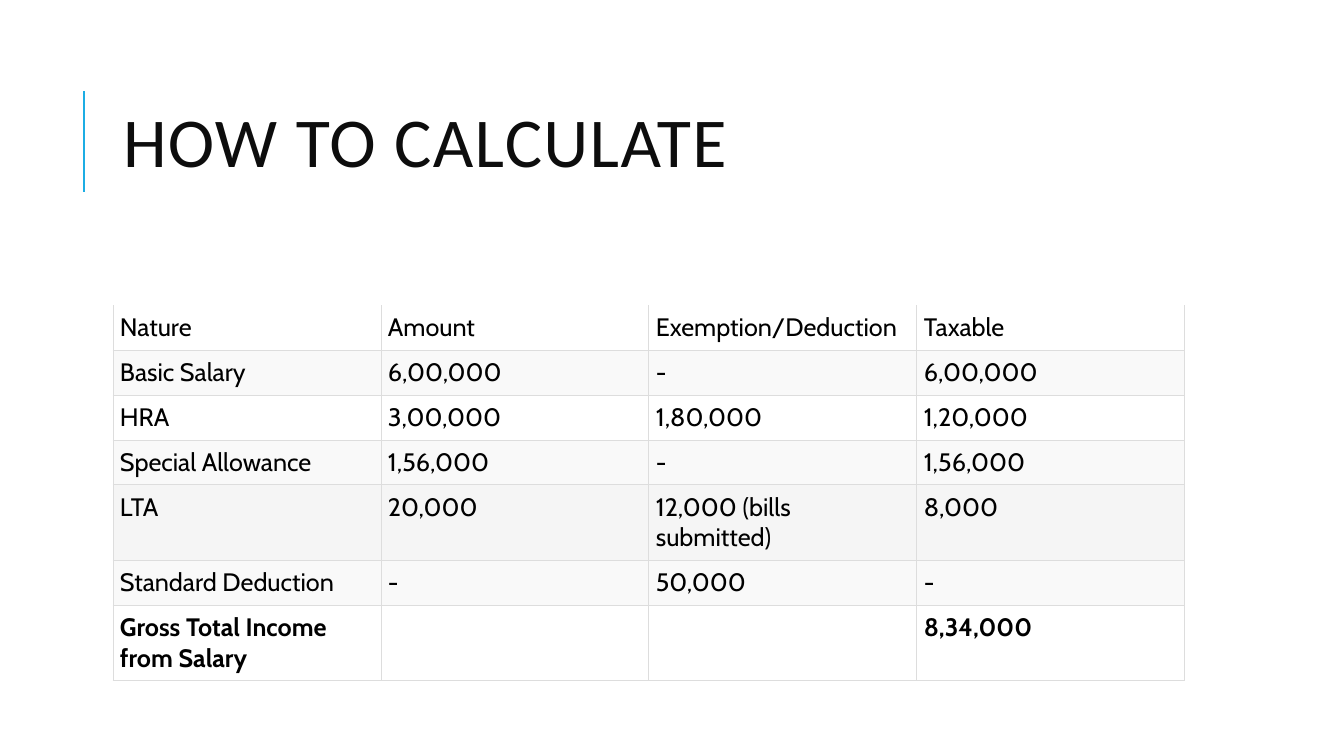
"""Build the salary calculation slide with its title and table."""
import pptx
import pptx.dml.color
import pptx.enum.shapes
import pptx.enum.text
import pptx.oxml
import pptx.oxml.ns
import pptx.util
from pptx.util import Inches, Pt

TITLE = "HOW TO CALCULATE"
ROWS = [
    ("Nature", "Amount", "Exemption/Deduction", "Taxable"),
    ("Basic Salary", "6,00,000", "-", "6,00,000"),
    ("HRA", "3,00,000", "1,80,000", "1,20,000"),
    ("Special Allowance", "1,56,000", "-", "1,56,000"),
    ("LTA", "20,000", "12,000 (bills submitted)", "8,000"),
    ("Standard Deduction", "-", "50,000", "-"),
    ("Gross Total Income from Salary", "", "", "8,34,000"),
]
FILLS = ["FFFFFF", "F9F9F9", "FFFFFF", "F9F9F9", "F5F5F5", "F9F9F9", "FFFFFF"]
HEIGHTS = [0.44, 0.44, 0.44, 0.44, 0.74, 0.44, 0.74]
LEFT, TOP, WIDTH = 1.12, 3.03, 10.63
BORDER = "DDDDDD"
NS = pptx.oxml.ns.nsdecls("a")
ANCHOR = pptx.enum.text.MSO_ANCHOR


def rgb(value):
    """Turn a hex string into a colour."""
    return pptx.dml.color.RGBColor.from_string(value)


def style_run(r, font, size, color, bold=False):
    """Format one run."""
    r.font.name, r.font.size, r.font.bold = font, Pt(size), bold
    r.font.color.rgb = rgb(color)


def add_borders(cell, top):
    """Draw the cell's edges, leaving the top open when asked."""
    tcPr = cell._tc.get_or_add_tcPr()
    solid = f'<a:solidFill><a:srgbClr val="{BORDER}"/></a:solidFill>'
    for side in "LRTB":
        paint = solid if top or side != "T" else "<a:noFill/>"
        tcPr.append(pptx.oxml.parse_xml(
            f'<a:ln{side} {NS} w="{Pt(0.6)}">{paint}</a:ln{side}>'))


def add_title(s):
    """Place the title and the accent rule beside it."""
    rule = s.shapes.add_connector(
        pptx.enum.shapes.MSO_CONNECTOR.STRAIGHT,
        Inches(0.83), Inches(1.9), Inches(0.83), Inches(0.9))
    rule.line.color.rgb = rgb("1CADE4")
    rule.line.width = Pt(1.5)
    rule._element.spPr.append(pptx.oxml.parse_xml(f"<a:effectLst {NS}/>"))

    title = s.shapes.title
    title.left, title.top = Inches(LEFT), Inches(0.64)
    title.width, title.height = Inches(WIDTH), Inches(1.64)
    tf = title.text_frame
    tf.text = TITLE
    tf.word_wrap = True
    tf.auto_size = pptx.enum.text.MSO_AUTO_SIZE.NONE
    tf.vertical_anchor = ANCHOR.MIDDLE
    p = tf.paragraphs[0]
    p.alignment = pptx.enum.text.PP_ALIGN.LEFT
    p.line_spacing = 0.8
    style_run(p.runs[0], "Calibri", 50, "0D0D0D")
    p.runs[0]._r.get_or_add_rPr().set("spc", "100")


def add_salary_table(s):
    """Place the table and format every cell."""
    table = s.shapes.add_table(
        len(ROWS), len(ROWS[0]), Inches(LEFT), Inches(TOP),
        Inches(WIDTH), Inches(sum(HEIGHTS))).table
    table.first_row = table.horz_banding = False
    for i, (texts, fill, height) in enumerate(zip(ROWS, FILLS, HEIGHTS)):
        table.rows[i].height = Inches(height)
        for j, text in enumerate(texts):
            cell = table.cell(i, j)
            cell.text = text
            cell.margin_left = cell.margin_right = Inches(0.07)
            cell.margin_top = cell.margin_bottom = Inches(0.07)
            cell.vertical_anchor = ANCHOR.BOTTOM if i == 0 else ANCHOR.TOP
            add_borders(cell, top=i > 0)
            cell.fill.solid()
            cell.fill.fore_color.rgb = rgb(fill)
            for r in cell.text_frame.paragraphs[0].runs:
                style_run(r, "Cabin", 18, "000000", i == len(ROWS) - 1)


def main():
    """Create and save the presentation."""
    prs = pptx.Presentation()
    prs.slide_width, prs.slide_height = Inches(13.33), Inches(7.5)
    s = prs.slides.add_slide(prs.slide_layouts[5])
    add_title(s)
    add_salary_table(s)
    prs.save("out.pptx")


if __name__ == "__main__":
    main()
